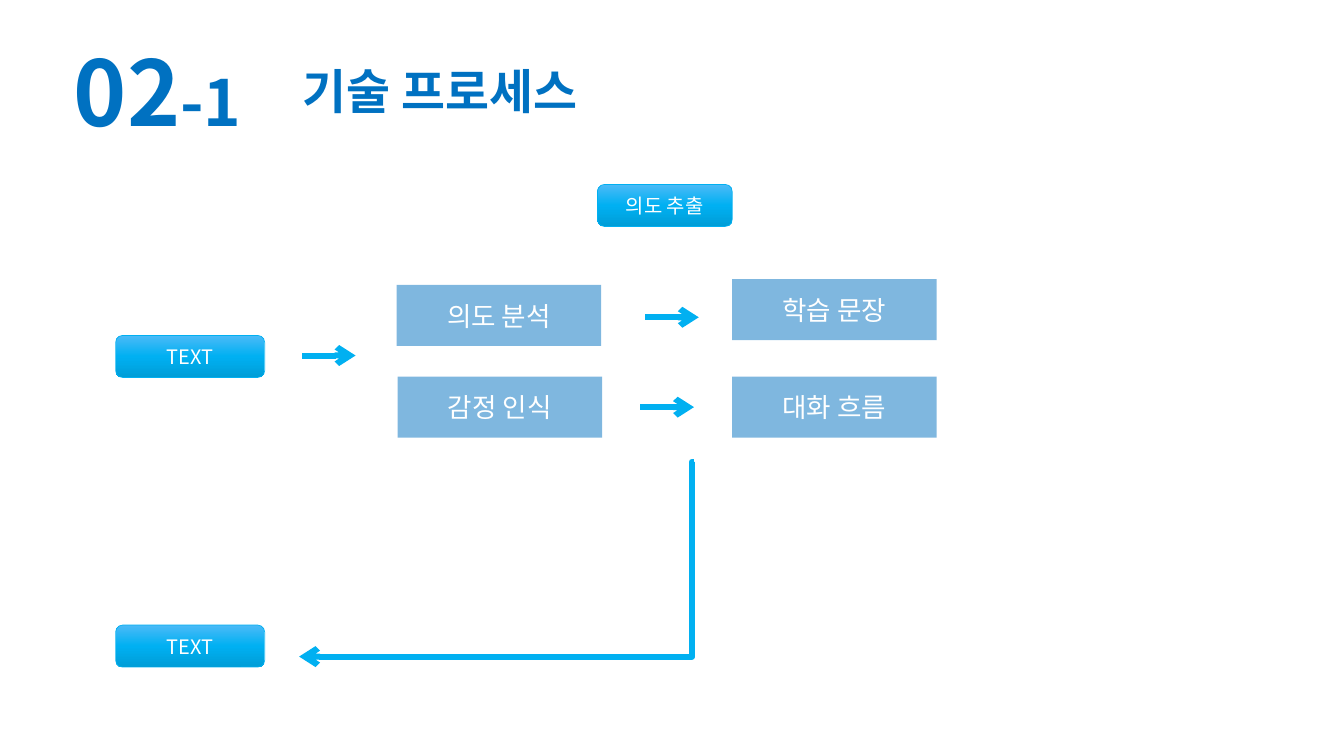
from dataclasses import dataclass
from copy import deepcopy

from lxml.etree import SubElement
from pptx import Presentation
from pptx.dml.color import RGBColor
from pptx.enum.shapes import MSO_CONNECTOR as Connector, MSO_SHAPE as Shape
from pptx.enum.text import MSO_ANCHOR as Anchor, PP_ALIGN as Align
from pptx.oxml.ns import qn
from pptx.util import Inches, Pt


@dataclass(frozen=True)
class Theme:
    font: str = "Noto Sans CJK KR"
    navy: str = "0071C1"
    sky: str = "01B0F1"
    white: str = "FFFFFF"
    gradient: tuple = ((0, "4BBAF7"), (0.5, "00B0F2"), (1, "009DD7"))
    number_size: int = 68
    suffix_size: int = 48
    title_size: int = 36
    step_size: int = 20
    label_size: int = 15
    arrow_width: float = 4.5
    outline_width: float = 0.5


THEME = Theme()


def color(value):
    return RGBColor.from_string(value)


def style_paragraph(paragraph, size, text_color, bold=False, align=Align.CENTER):
    paragraph.alignment = align
    font = paragraph.font
    font.size = Pt(size)
    font.bold = bold
    font.color.rgb = color(text_color)
    font.name = THEME.font
    properties = paragraph._p.pPr.find(qn("a:defRPr"))
    SubElement(properties, qn("a:ea"), typeface=THEME.font)


def add_heading(slide, box, runs, align, wrap):
    frame = slide.shapes.add_textbox(*map(Inches, box)).text_frame
    frame.word_wrap = wrap
    paragraph = frame.paragraphs[0]
    style_paragraph(paragraph, runs[0][1], THEME.navy, True, align)
    for text, size in runs:
        run = paragraph.add_run()
        run.text = text
        run.font.size = Pt(size)


def add_box(slide, kind, box, text, size):
    shape = slide.shapes.add_shape(kind, *map(Inches, box))
    shape.shadow.inherit = False
    frame = shape.text_frame
    frame.word_wrap = True
    frame.vertical_anchor = Anchor.MIDDLE
    frame.text = text
    style_paragraph(frame.paragraphs[0], size, THEME.white)
    return shape


def add_step(slide, left, top, text):
    shape = add_box(slide, Shape.RECTANGLE, (left, top, 2.14, 0.64), text, THEME.step_size)
    shape.fill.solid()
    shape.fill.fore_color.rgb = color(THEME.navy)
    fill_color = shape._element.spPr.find(qn("a:solidFill"))[0]
    SubElement(fill_color, qn("a:alpha"), val="50000")
    shape.line.fill.background()


def add_label(slide, left, top, width, text):
    shape = add_box(slide, Shape.ROUNDED_RECTANGLE, (left, top, width, 0.44), text, THEME.label_size)
    shape.fill.gradient()
    shape.fill.gradient_angle = 270
    stop_list = shape._element.spPr.find(qn("a:gradFill")).find(qn("a:gsLst"))
    stop_list.append(deepcopy(stop_list[0]))
    for stop, (position, value) in zip(shape.fill.gradient_stops, THEME.gradient):
        stop.position = position
        stop.color.rgb = color(value)
    shape.line.color.rgb = color(THEME.sky)
    shape.line.width = Pt(THEME.outline_width)


def add_arrow(slide, start, end, kind=Connector.STRAIGHT):
    arrow = slide.shapes.add_connector(kind, *map(Inches, start + end))
    arrow.line.color.rgb = color(THEME.sky)
    arrow.line.width = Pt(THEME.arrow_width)
    properties = arrow._element.spPr
    SubElement(properties.find(qn("a:ln")), qn("a:tailEnd"), type="arrow")
    SubElement(properties, qn("a:effectLst"))
    return arrow


def add_return_arrow(slide, start, end):
    arrow = add_arrow(slide, start, end, Connector.ELBOW)
    guides = arrow._element.spPr.find(qn("a:prstGeom")).get_or_add_avLst()
    SubElement(guides, qn("a:gd"), name="adj1", fmla="val 500")


def main():
    presentation = Presentation()
    presentation.slide_width = Inches(14.06)
    presentation.slide_height = Inches(7.91)
    slide = presentation.slides.add_slide(presentation.slide_layouts[6])

    number = [("02", THEME.number_size), ("-1", THEME.suffix_size)]
    add_heading(slide, (0.26, 0.33, 2.78, 1.25), number, Align.CENTER, True)
    title = [("기술 프로세스", THEME.title_size)]
    add_heading(slide, (3.07, 0.6, 3.59, 0.71), title, Align.LEFT, False)

    for left, top, text in (
        (4.15, 2.98, "의도 분석"),
        (4.16, 3.94, "감정 인식"),
        (7.66, 2.92, "학습 문장"),
        (7.66, 3.94, "대화 흐름"),
    ):
        add_step(slide, left, top, text)

    for left, top, width, text in (
        (1.21, 3.51, 1.56, "TEXT"),
        (6.25, 1.93, 1.41, "의도 추출"),
        (1.21, 6.54, 1.56, "TEXT"),
    ):
        add_label(slide, left, top, width, text)

    for left, middle in ((3.16, 3.72), (6.75, 3.32), (6.7, 4.26)):
        add_arrow(slide, (left, middle), (left + 0.56, middle))
    add_return_arrow(slide, (7.26, 4.83), (3.13, 6.87))

    presentation.save("out.pptx")


if __name__ == "__main__":
    main()
